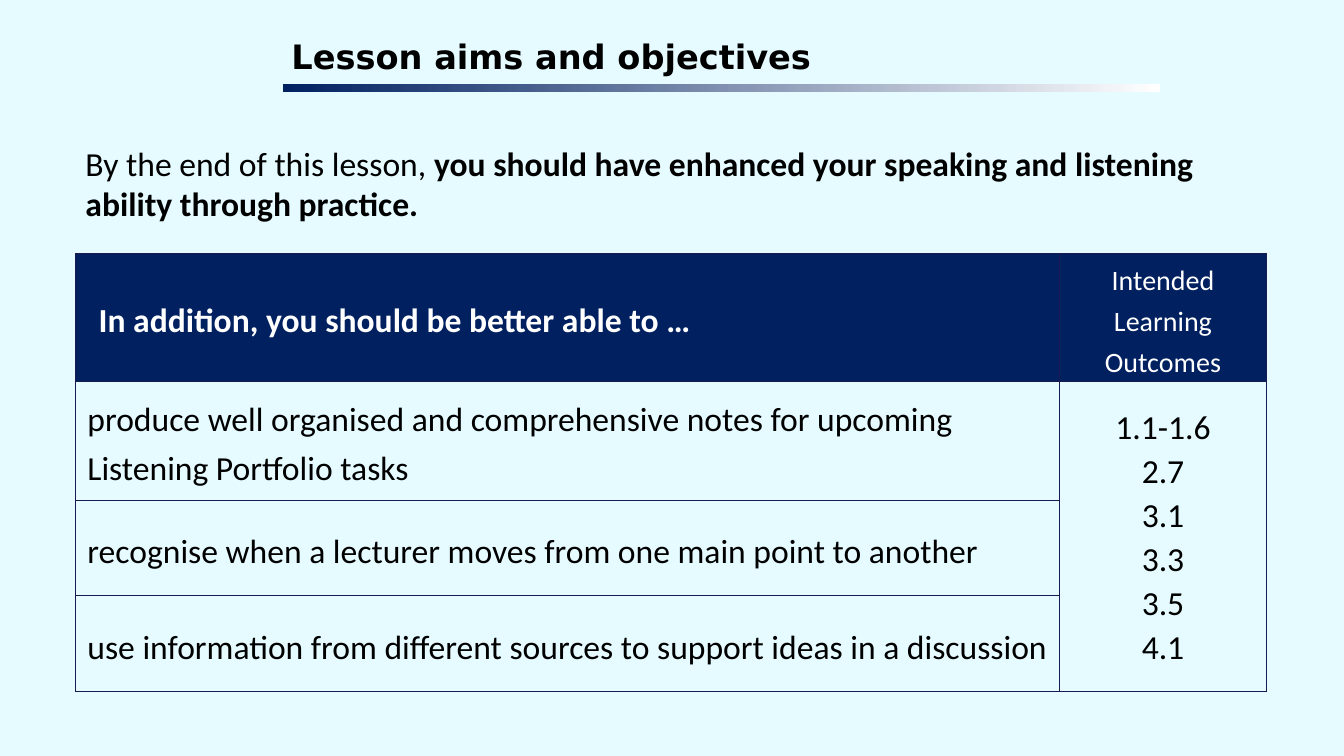
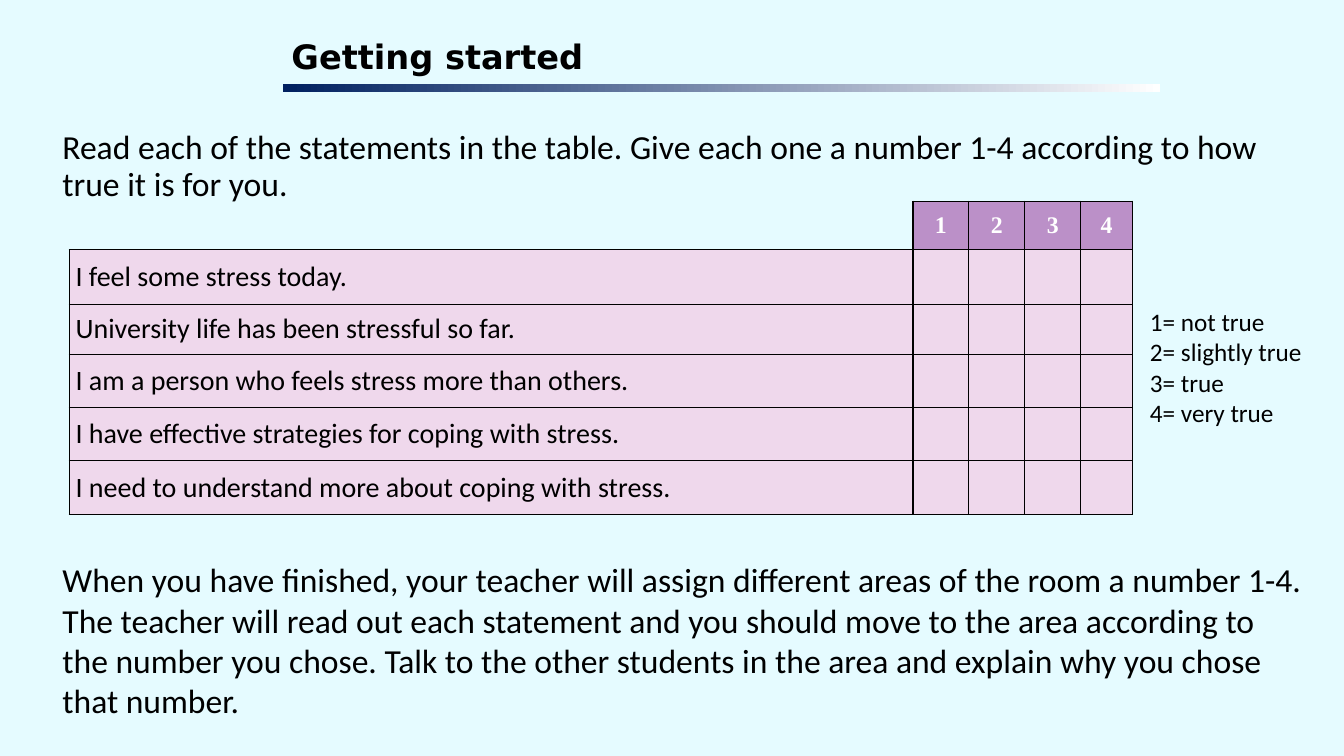
"""Build two lesson slides: the aims table and the stress survey."""
from lxml.etree import SubElement
from pptx import Presentation
from pptx.dml.color import RGBColor
from pptx.enum.shapes import MSO_SHAPE
from pptx.enum.text import MSO_ANCHOR, PP_ALIGN
from pptx.oxml.ns import qn
from pptx.util import Pt

SKY = RGBColor(0xE5, 0xFB, 0xFF)
NAVY = RGBColor(0x00, 0x20, 0x60)
INK = RGBColor(0x19, 0x1A, 0x4F)
BLACK = RGBColor(0, 0, 0)
WHITE = RGBColor(0xFF, 0xFF, 0xFF)
MAUVE = RGBColor(0xBB, 0x90, 0xC8)
PINK = RGBColor(0xEF, 0xD8, 0xEC)

BODY = {"name": "Calibri", "size": Pt(24), "bold": False}
TITLE = {"name": "DejaVu Sans", "size": Pt(24), "bold": True}
HEAD = BODY | {"bold": True}
SMALL = BODY | {"size": Pt(20)}
KEY = BODY | {"size": Pt(18)}
DIGIT = {"name": "Times New Roman", "size": Pt(17), "bold": True}

LOOSE = {"line_spacing": 1.19, "space_after": Pt(6)}
MID = {"alignment": PP_ALIGN.CENTER}
CODES = MID | {"line_spacing": 1.07}
TIGHT = {"line_spacing": 0.9}

SLIM = dict.fromkeys(("margin_left", "margin_top", "margin_right", "margin_bottom"), Pt(3))
SIDE = {"margin_left": Pt(4.5), "margin_top": 0, "margin_right": Pt(4.5), "margin_bottom": 0}

AIMS = [
    "produce well organised and comprehensive notes for upcoming Listening Portfolio tasks",
    "recognise when a lecturer moves from one main point to another",
    "use information from different sources to support ideas in a discussion",
]
AIM_HEADS = ["In addition, you should be better able to …", "Intended Learning Outcomes"]
OUTCOMES = ["1.1-1.6", "2.7", "3.1", "3.3", "3.5", "4.1"]
INTRO = [[
    ("By the end of this lesson, ", False),
    ("you should have enhanced your speaking and listening ability through practice.", True),
]]

TASK = [
    "Read each of the statements in the table. Give each one a number 1-4 "
    "according to how true it is for you."
]
CLAIMS = [
    "I feel some stress today.",
    "University life has been stressful so far.",
    "I am a person who feels stress more than others.",
    "I have effective strategies for coping with stress.",
    "I need to understand more about coping with stress.",
]
SCORES = ["1", "2", "3", "4"]
SCALE = ["1= not true", "2= slightly true", "3= true", "4= very true"]
NEXT = [
    "When you have finished, your teacher will assign different areas of the room "
    "a number 1-4. The teacher will read out each statement and you should move to "
    "the area according to the number you chose. Talk to the other students in the "
    "area and explain why you chose that number."
]


def style(item, form):
    for name, value in form.items():
        setattr(item, name, value)


def write(frame, paras, font, form=None, color=BLACK, indent=0):
    for i, runs in enumerate(paras):
        para = frame.add_paragraph() if i else frame.paragraphs[0]
        style(para, form or {})
        if indent:
            para._p.get_or_add_pPr().set("marL", str(Pt(indent)))
        if isinstance(runs, str):
            runs = [(runs, font["bold"])]
        for text, bold in runs:
            run = para.add_run()
            run.text = text
            style(run.font, font | {"bold": bold})
            run.font.color.rgb = color


def add_text(slide, box, paras, font, form=None, inset=None):
    frame = slide.shapes.add_textbox(*map(Pt, box)).text_frame
    style(frame, {"word_wrap": True} | (inset or {}))
    write(frame, paras, font, form)


def add_page(deck, title):
    slide = deck.slides.add_slide(deck.slide_layouts[6])
    back = slide.background.fill
    back.solid()
    back.fore_color.rgb = SKY
    add_text(slide, (205.2, 22.3, 623.5, 38.2), [title], TITLE, inset=SLIM)
    band = slide.shapes.add_shape(MSO_SHAPE.RECTANGLE, *map(Pt, (202.3, 60.2, 626.4, 5.8)))
    band.shadow.inherit = False
    band.line.fill.background()
    band.fill.gradient()
    band.fill.gradient_angle = 180
    for stop, color in zip(band.fill.gradient_stops, (WHITE, NAVY)):
        stop.color.rgb = color
    return slide


def add_grid(slide, left, top, cols, rows):
    shape = slide.shapes.add_table(
        len(rows), len(cols), Pt(left), Pt(top), Pt(sum(cols)), Pt(sum(rows)))
    table = shape.table
    style(table, {"first_row": False, "horz_banding": False})
    for col, width in zip(table.columns, cols):
        col.width = Pt(width)
    for row, height in zip(table.rows, rows):
        row.height = Pt(height)
    return table


def dress(cell, fill, color, width, inset, sides="LRTB"):
    style(cell, inset | {"vertical_anchor": MSO_ANCHOR.MIDDLE})
    props = cell._tc.get_or_add_tcPr()
    for side in "LRTB":
        line = SubElement(props, qn(f"a:ln{side}"), w=str(Pt(width)))
        if side in sides:
            paint = SubElement(line, qn("a:solidFill"))
            SubElement(paint, qn("a:srgbClr"), val=str(color))
        else:
            SubElement(line, qn("a:noFill"))
    if fill is None:
        cell.fill.background()
    else:
        cell.fill.solid()
        cell.fill.fore_color.rgb = fill


def add_aims(deck):
    slide = add_page(deck, "Lesson aims and objectives")
    table = add_grid(slide, 54, 181, (703, 147.5), (83, 84.5, 68.5, 68.5))
    for r in range(len(AIMS) + 1):
        for c in range(2):
            dress(table.cell(r, c), None if r else NAVY, INK, 0.5, SLIM)
    table.cell(1, 1).merge(table.cell(len(AIMS), 1))
    left, right = (table.cell(0, c).text_frame for c in range(2))
    write(left, AIM_HEADS[:1], HEAD, LOOSE, WHITE, 13.5)
    write(right, AIM_HEADS[1:], SMALL, LOOSE | MID, WHITE)
    for r, aim in enumerate(AIMS, 1):
        write(table.cell(r, 0).text_frame, [aim], BODY, LOOSE, indent=5.5)
    write(table.cell(1, 1).text_frame, OUTCOMES, BODY, CODES)
    add_text(slide, (54, 98.6, 850.5, 65.5), INTRO, BODY)


def add_survey(deck):
    slide = add_page(deck, "Getting started")
    add_text(slide, (37.5, 90, 890, 62.6), TASK, BODY, TIGHT)
    table = add_grid(slide, 49.5, 143.8, (602.6, 40, 40, 40, 36.7),
                     (34.5, 39, 36, 38, 37.5, 39))
    for r in range(len(CLAIMS) + 1):
        for c in range(len(SCORES) + 1):
            corner = r == c == 0
            fill = None if corner else PINK if r else MAUVE
            dress(table.cell(r, c), fill, BLACK, 1, SIDE, "RB" if corner else "LRTB")
    for c, score in enumerate(SCORES, 1):
        write(table.cell(0, c).text_frame, [score], DIGIT, MID, WHITE)
    for r, claim in enumerate(CLAIMS, 1):
        write(table.cell(r, 0).text_frame, [claim], SMALL)
    add_text(slide, (37.5, 396, 903, 124), NEXT, BODY)
    add_text(slide, (814.3, 215.3, 142.5, 94.3), SCALE, KEY)


def main():
    deck = Presentation()
    style(deck, {"slide_width": Pt(960), "slide_height": Pt(540)})
    add_aims(deck)
    add_survey(deck)
    deck.save("out.pptx")


if __name__ == "__main__":
    main()
